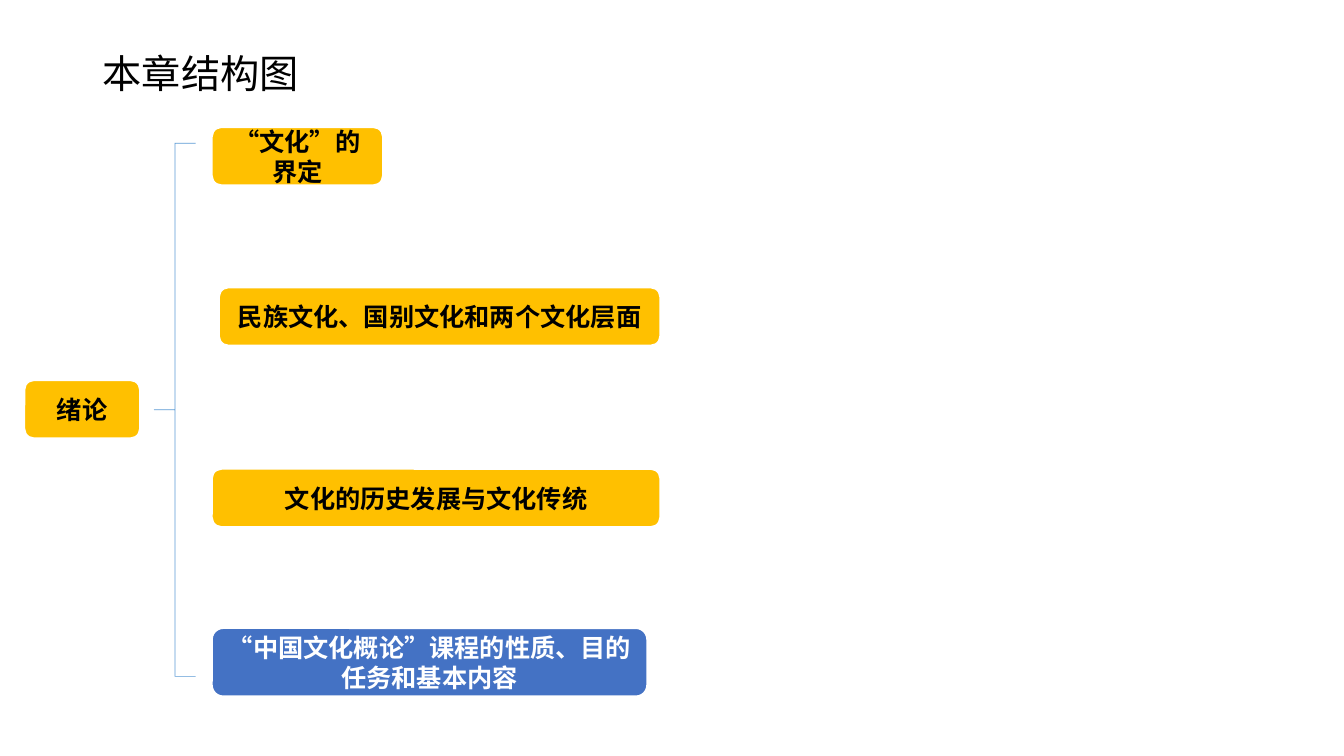
from pptx import Presentation
from pptx.dml.color import RGBColor as RGB
from pptx.enum.shapes import MSO_SHAPE as Shape
from pptx.enum.text import MSO_ANCHOR as Anchor, PP_ALIGN as Align
from pptx.oxml.ns import qn
from pptx.util import Inches, Pt
from lxml import etree

FONT = "Noto Sans CJK SC"
COLORS = {
    "gold": "FFC000",
    "blue": "4472C4",
    "brace": "5B9BD5",
    "black": "000000",
    "white": "FFFFFF",
}
TOPICS = [
    # text, box (left, top, width, height), fill, text colour
    ("“文化”的界定", (2.1, 1.26, 1.7, 0.58), "gold", "black"),
    ("民族文化、国别文化和两个文化层面", (2.17, 2.85, 4.38, 0.58), "gold", "black"),
    ("文化的历史发展与文化传统", (2.1, 4.65, 4.45, 0.58), "gold", "black"),
    ("“中国文化概论”课程的性质、目的任务和基本内容", (2.1, 6.23, 4.32, 0.68), "blue", "white"),
]


def color(name):
    return RGB.from_string(COLORS[name])


def style(frame, size, ink, bold=False):
    frame.vertical_anchor = Anchor.MIDDLE
    for run in frame.paragraphs[0].runs:
        font = run.font
        font.name, font.size, font.bold = FONT, Pt(size), bold
        font.color.rgb = color(ink)
        # East Asian typeface
        etree.SubElement(run._r.get_or_add_rPr(), qn("a:ea"), typeface=FONT)


def add_title(slide, box):
    title = slide.shapes.title
    title.left, title.top, title.width, title.height = map(Inches, box)
    frame = title.text_frame
    frame.text = "本章结构图"
    frame.paragraphs[0].alignment = Align.LEFT
    frame.paragraphs[0].line_spacing = 0.9
    style(frame, 28, "black")


def add_node(slide, text, box, fill, ink):
    node = slide.shapes.add_shape(Shape.ROUNDED_RECTANGLE, *map(Inches, box))
    node.shadow.inherit = False
    node.fill.solid()
    node.fill.fore_color.rgb = color(fill)
    node.line.color.rgb = color("white")
    node.line.width = Pt(1.5)
    frame = node.text_frame
    frame.word_wrap = True
    frame.text = text
    frame.paragraphs[0].alignment = Align.CENTER
    style(frame, 18, ink, bold=True)


def add_brace(slide, box):
    brace = slide.shapes.add_shape(Shape.LEFT_BRACE, *map(Inches, box))
    brace.shadow.inherit = False
    brace.adjustments[0] = 0
    brace.adjustments[1] = 0.5
    brace.fill.background()
    brace.line.color.rgb = color("brace")
    brace.line.width = Pt(0.5)


def main():
    deck = Presentation()
    deck.slide_width, deck.slide_height = Inches(13.33), Inches(7.5)
    slide = deck.slides.add_slide(deck.slide_layouts[5])

    add_title(slide, (0.92, 0.4, 3.29, 0.71))
    # Root, brace and topics of the chapter tree
    add_node(slide, "绪论", (0.24, 3.77, 1.15, 0.58), "gold", "black")
    add_brace(slide, (1.53, 1.42, 0.41, 5.29))
    for topic in TOPICS:
        add_node(slide, *topic)

    deck.save("out.pptx")


if __name__ == "__main__":
    main()
